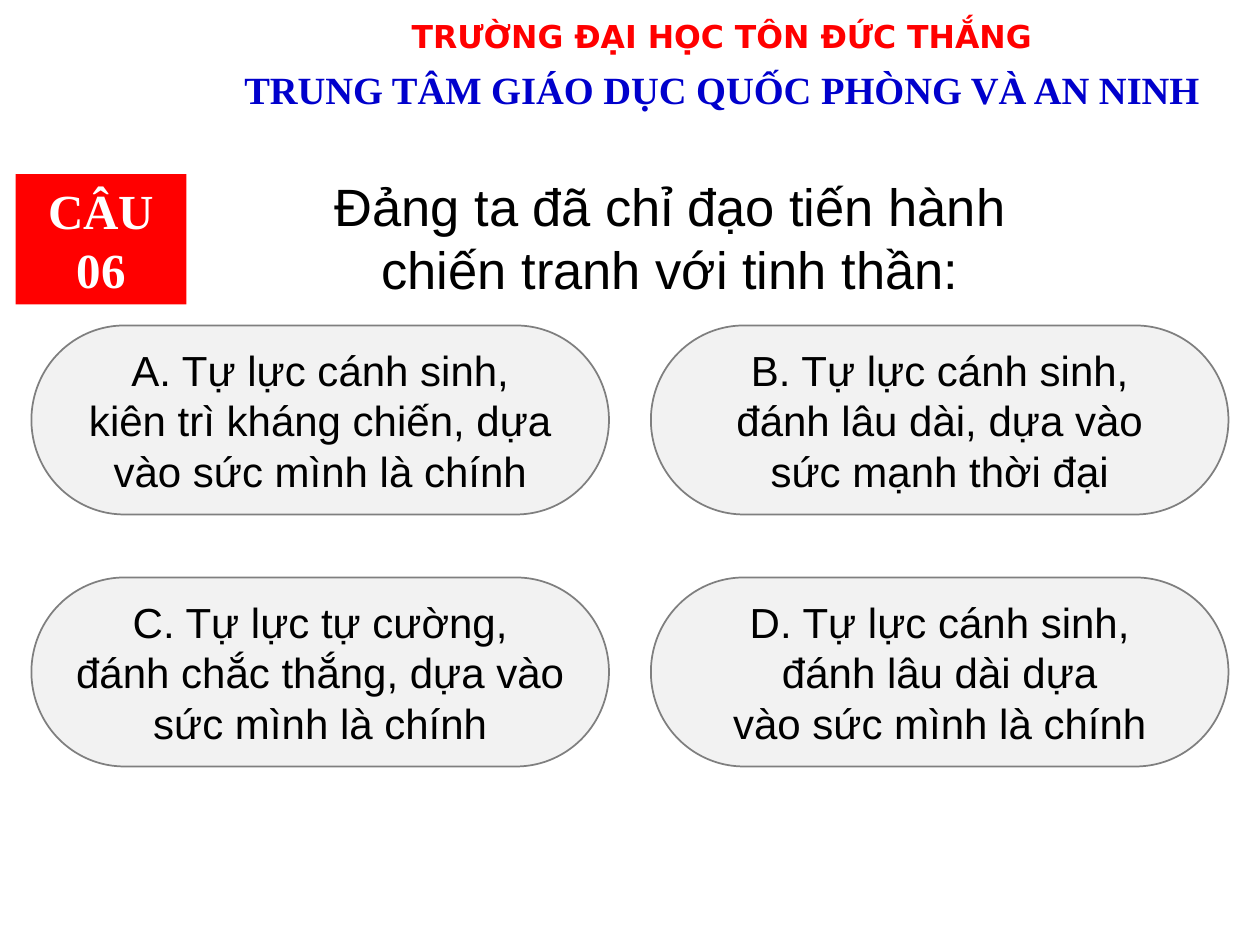
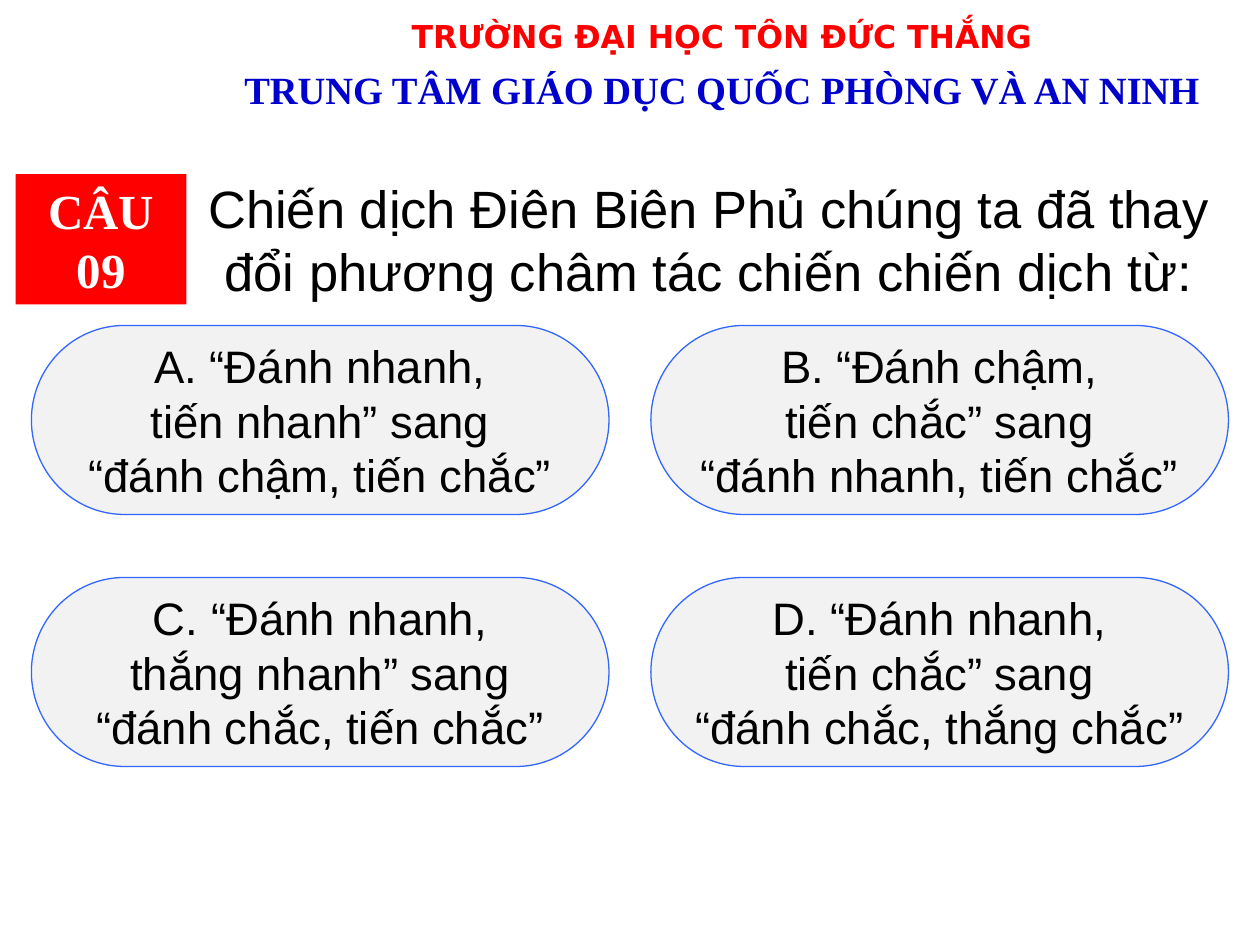
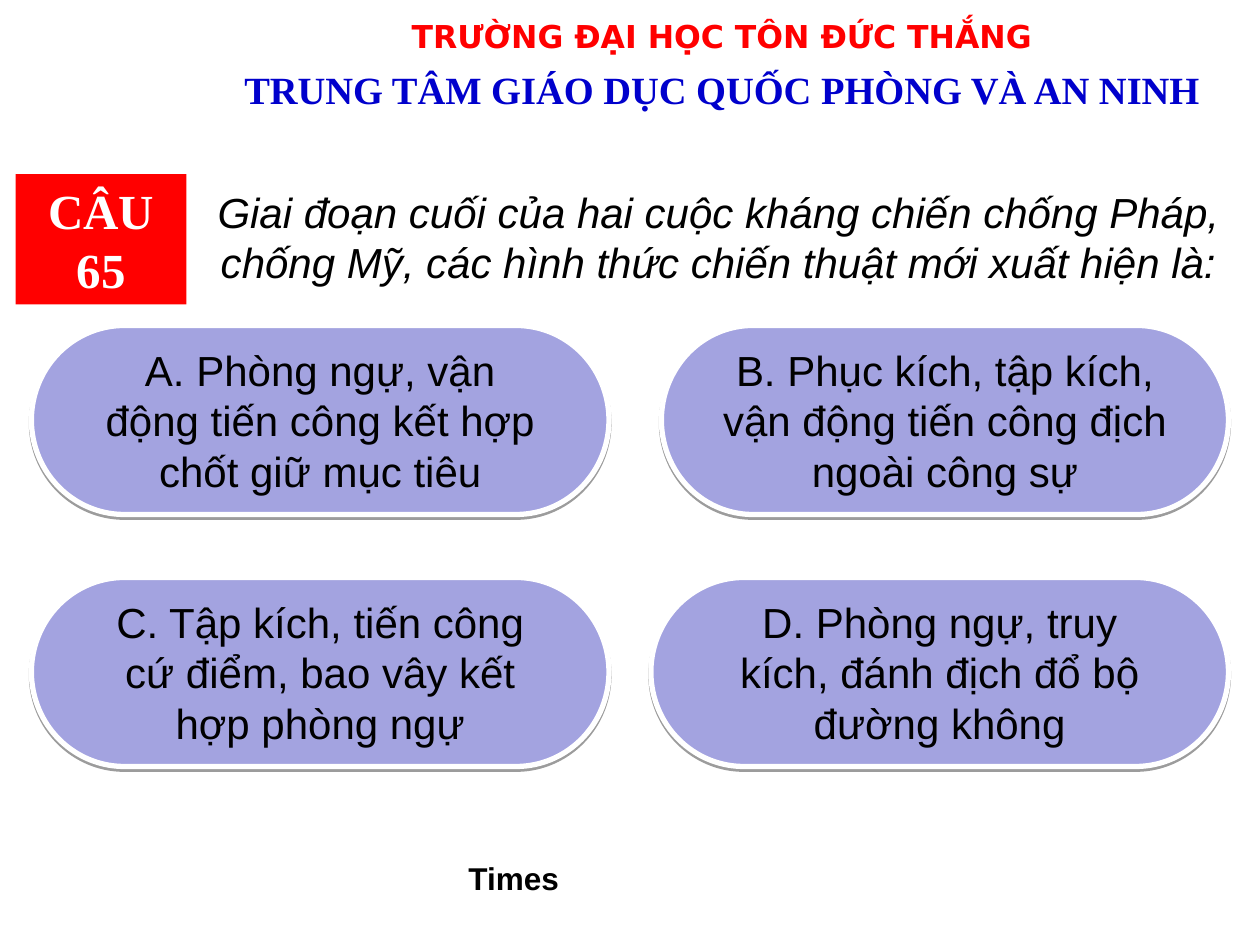
from pptx import Presentation
from pptx.dml.color import RGBColor as RGB
from pptx.enum.shapes import MSO_SHAPE as Shape
from pptx.enum.text import MSO_ANCHOR as Anchor, PP_ALIGN as Align
from pptx.oxml import parse_xml
from pptx.oxml.ns import nsdecls
from pptx.util import Pt

HEX = {
    "red": "FF0000", "blue": "0000CC", "white": "FFFFFF", "black": "000000",
    "pale": "F2F2F2", "gray": "7F7F7F", "azure": "3366FF", "lilac": "A3A3E0",
}
SANS, SERIF, HEAD = "Arial", "Times New Roman", "DejaVu Sans"

# Answer styles: fill, line, line width, text size, shadow
STYLES = {
    "plain": ("pale", "gray", 1, 24, False),
    "edged": ("pale", "azure", 0.75, 26, False),
    "raised": ("lilac", "white", 3, 24, True),
}


def color(name):
    return RGB.from_string(HEX[name])


def write(shape, text, size, font=SANS, ink="black", bold=False,
          italic=False, wrap=True, anchor=Anchor.TOP):
    frame = shape.text_frame
    frame.text = text
    frame.word_wrap = wrap
    frame.vertical_anchor = anchor
    for para in frame.paragraphs:
        para.alignment = Align.CENTER
        for run in para.runs:
            face = run.font
            face.name, face.size = font, Pt(size)
            face.bold, face.italic = bold, italic
            face.color.rgb = color(ink)


def label(slide, box, text, size, **look):
    write(slide.shapes.add_textbox(*map(Pt, box)), text, size, **look)


def block(slide, kind, box, fill):
    shape = slide.shapes.add_shape(kind, *map(Pt, box))
    shape.shadow.inherit = False
    shape.fill.solid()
    shape.fill.fore_color.rgb = color(fill)
    shape.line.fill.background()
    return shape


def drop(shape):
    """Add a short, sharp shadow below the shape."""
    shape._element.spPr.find("{*}effectLst").append(parse_xml(
        f'<a:outerShdw {nsdecls("a")} blurRad="0" dist="{Pt(1.6)}" '
        f'dir="5400000" rotWithShape="0"><a:srgbClr val="{HEX["black"]}">'
        '<a:alpha val="38000"/></a:srgbClr></a:outerShdw>'))


def header(slide, box):
    x, y, w, h = box
    label(slide, (x + 21, y, w - 42, 24), "TRƯỜNG ĐẠI HỌC TÔN ĐỨC THẮNG",
          18, font=HEAD, ink="red", bold=True, wrap=False)
    label(slide, (x, y + 28, w, h - 28),
          "TRUNG TÂM GIÁO DỤC QUỐC PHÒNG VÀ AN NINH",
          22, font=SERIF, ink="blue", bold=True, wrap=False)


def badge(slide, box, number):
    shape = block(slide, Shape.RECTANGLE, box, "red")
    write(shape, f"CÂU {number}", 28, font=SERIF, ink="white", bold=True)


def answers(slide, box, texts, style, shifts):
    """Fill a two by two grid; a shift moves the left edge of one answer."""
    x, y, w, h = box
    fill, edge, width, size, raised = STYLES[style]
    wide, high = (w - 24) / 2, (h - 36) / 2
    for i, text in enumerate(texts):
        row, col = divmod(i, 2)
        shift = shifts.get(i, 0)
        place = (x + col * (wide + 24) + shift, y + row * (high + 36),
                 wide - shift, high)
        pill = block(slide, Shape.FLOWCHART_TERMINATOR, place, fill)
        pill.line.color.rgb = color(edge)
        pill.line.width = Pt(width)
        if raised:
            drop(pill)
        write(pill, text, size, wrap=False, anchor=Anchor.MIDDLE)


def quiz(deck, number, ask, box, texts, style, size=30, italic=False,
         shifts={}):
    slide = deck.slides.add_slide(deck.slide_layouts[6])
    header(slide, (124.5, 6, 576, 51))
    label(slide, box, ask, size, italic=italic)
    answers(slide, (18, 186, 684, 252), texts, style, shifts)
    badge(slide, (9, 99.5, 97.5, 74.5), number)
    return slide


def main():
    deck = Presentation()
    deck.slide_width, deck.slide_height = Pt(720), Pt(540)

    quiz(deck, "06", "Đảng ta đã chỉ đạo tiến hành\nchiến tranh với tinh thần:",
         (143.5, 96, 479, 79), [
             "A. Tự lực cánh sinh,\nkiên trì kháng chiến, dựa\nvào sức mình là chính",
             "B. Tự lực cánh sinh,\nđánh lâu dài, dựa vào\nsức mạnh thời đại",
             "C. Tự lực tự cường,\nđánh chắc thắng, dựa vào\nsức mình là chính",
             "D. Tự lực cánh sinh,\nđánh lâu dài dựa\nvào sức mình là chính",
         ], "plain")

    quiz(deck, "09", "Chiến dịch Điên Biên Phủ chúng ta đã thay "
         "đổi phương châm tác chiến chiến dịch từ:",
         (108, 97, 594, 79), [
             "A. “Đánh nhanh,\ntiến nhanh” sang\n“đánh chậm, tiến chắc”",
             "B. “Đánh chậm,\ntiến chắc” sang\n“đánh nhanh, tiến chắc”",
             "C. “Đánh nhanh,\nthắng nhanh” sang\n“đánh chắc, tiến chắc”",
             "D. “Đánh nhanh,\ntiến chắc” sang\n“đánh chắc, thắng chắc”",
         ], "edged")

    last = quiz(
        deck, "65", "Giai đoạn cuối của hai cuộc kháng chiến chống Pháp, "
        "chống Mỹ, các hình thức chiến thuật mới xuất hiện là:",
        (114, 103, 593, 65), [
            "A. Phòng ngự, vận\nđộng tiến công kết hợp\nchốt giữ mục tiêu",
            "B. Phục kích, tập kích,\nvận động tiến công địch\nngoài công sự",
            "C. Tập kích, tiến công\ncứ điểm, bao vây kết\nhợp phòng ngự",
            "D. Phòng ngự, truy\nkích, đánh địch đổ bộ\nđường không",
        ], "raised", size=24, italic=True, shifts={1: 6})
    # Timer caption
    label(last, (258, 487.5, 71, 29), "Times", 18, bold=True)

    deck.save("out.pptx")


if __name__ == "__main__":
    main()
